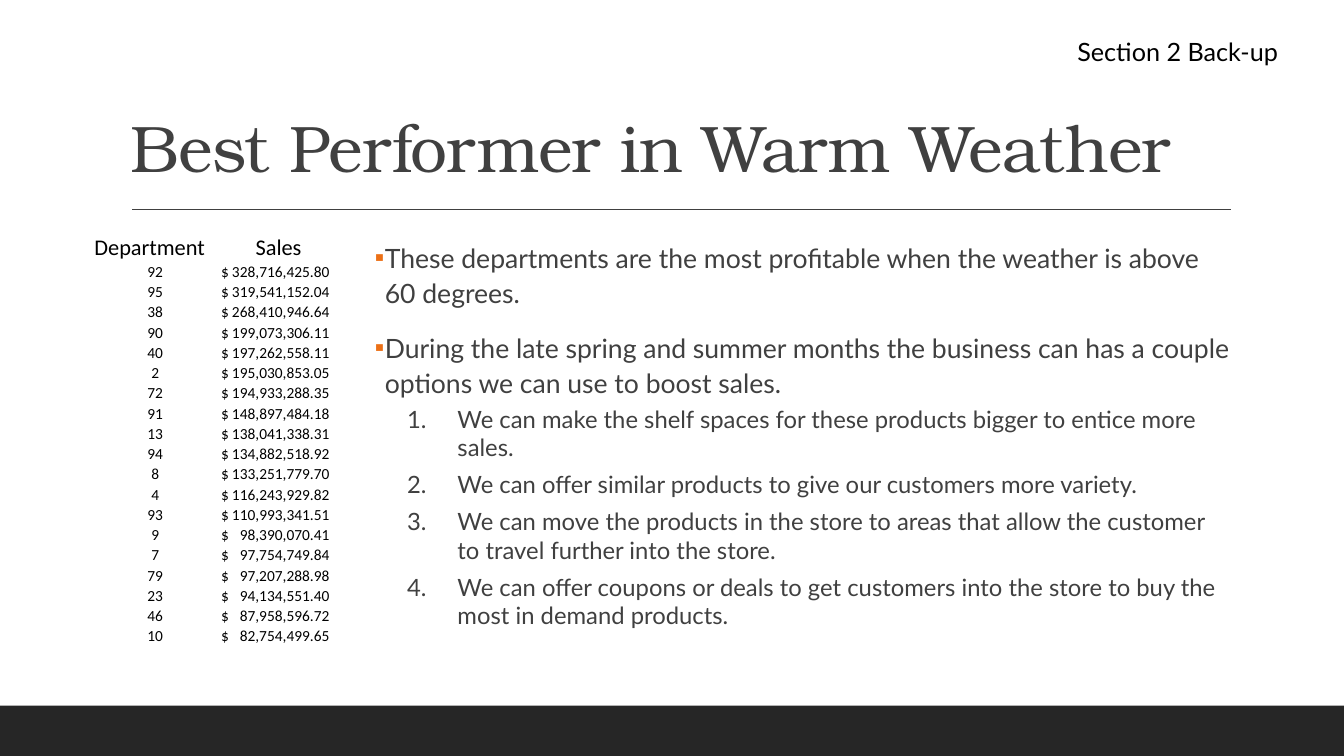
from dataclasses import dataclass

from lxml import etree
from pptx import Presentation
from pptx import util as u
from pptx.dml import color
from pptx.enum import shapes, text
from pptx.oxml import ns


@dataclass(frozen=True)
class Theme:
    ink: str = "404040"
    black: str = "000000"
    bar: str = "262626"
    accent: str = "EC7016"
    title_font: str = "TeX Gyre Bonum"
    body_font: str = "Lato"
    table_font: str = "Calibri"
    title_size: float = 47
    label_size: float = 18
    point_size: float = 19
    option_size: float = 17
    header_size: float = 16
    cell_size: float = 11


theme = Theme()


def add_xml(parent, tag, **attributes):
    return etree.SubElement(parent, ns.qn(tag), attributes)


def write(words, para, *, font, size, ink, align=text.PP_ALIGN.LEFT,
          line=1.0, before=0, after=0, spacing=None):
    para.alignment = align
    para.line_spacing = line
    para.space_before = u.Pt(before)
    para.space_after = u.Pt(after)
    span = para.add_run()
    span.text = words
    span.font.name = font
    span.font.size = u.Pt(size)
    span.font.bold = False
    span.font.color.rgb = color.RGBColor.from_string(ink)
    if spacing is not None:
        span.font._element.set("spc", str(spacing))


deck = Presentation()
deck.slide_width = u.Cm(33.87)
deck.slide_height = u.Cm(19.05)
page = deck.slides.add_slide(deck.slide_layouts[6])

bar = page.shapes.add_shape(
    shapes.MSO_SHAPE.RECTANGLE, 0, u.Cm(17.78), deck.slide_width, u.Cm(1.27))
bar.shadow.inherit = False
bar.fill.solid()
bar.fill.fore_color.rgb = color.RGBColor.from_string(theme.bar)
bar.line.fill.background()

rule = page.shapes.add_connector(
    shapes.MSO_CONNECTOR.STRAIGHT, u.Cm(3.33), u.Cm(5.28), u.Cm(31.01), u.Cm(5.28))
rule.line.color.rgb = color.RGBColor.from_string(theme.ink)
rule.line.width = u.Pt(1)
add_xml(rule._element.spPr, "a:effectLst")

title_box = page.shapes.add_textbox(u.Cm(3.05), u.Cm(0.79), u.Cm(27.94), u.Cm(4.04))
title_box.text_frame.word_wrap = True
title_box.text_frame.vertical_anchor = text.MSO_ANCHOR.BOTTOM
write("Best Performer in Warm Weather", title_box.text_frame.paragraphs[0],
      font=theme.title_font, size=theme.title_size, ink=theme.ink, line=0.9, spacing=-50)

sales = [
    ("92", "328,716,425.80"), ("95", "319,541,152.04"), ("38", "268,410,946.64"),
    ("90", "199,073,306.11"), ("40", "197,262,558.11"), ("2", "195,030,853.05"),
    ("72", "194,933,288.35"), ("91", "148,897,484.18"), ("13", "138,041,338.31"),
    ("94", "134,882,518.92"), ("8", "133,251,779.70"), ("4", "116,243,929.82"),
    ("93", "110,993,341.51"), ("9", "98,390,070.41"), ("7", "97,754,749.84"),
    ("79", "97,207,288.98"), ("23", "94,134,551.40"), ("46", "87,958,596.72"),
    ("10", "82,754,499.65"),
]
rows = [("Department", "Sales")] + [(number, f"$\t{amount}") for number, amount in sales]
row_height = u.Cm(0.51)
table = page.shapes.add_table(
    len(rows), 2, u.Cm(2.36), u.Cm(5.89), u.Cm(6.22), row_height * len(rows)).table
table.first_row = False
table.horz_banding = False
table.columns[0].width = u.Cm(3.1)
table.columns[1].width = u.Cm(3.12)

for row_index, row in enumerate(rows):
    table.rows[row_index].height = row_height
    for column_index, words in enumerate(row):
        is_header = row_index == 0
        is_amount = column_index == 1 and not is_header
        is_left = is_amount or words == "Department"
        cell = table.cell(row_index, column_index)
        cell.fill.background()
        cell.vertical_anchor = text.MSO_ANCHOR.BOTTOM
        cell.margin_left = u.Cm(0.11 if is_amount else 0.02)
        cell.margin_right = cell.margin_top = u.Cm(0.02)
        cell.margin_bottom = 0
        para = cell.text_frame.paragraphs[0]
        write(words, para, font=theme.table_font, ink=theme.black,
              size=theme.header_size if is_header else theme.cell_size,
              align=text.PP_ALIGN.LEFT if is_left else text.PP_ALIGN.CENTER)
        if is_amount:
            tabs = add_xml(para._p.get_or_add_pPr(), "a:tabLst")
            add_xml(tabs, "a:tab", pos=str(u.Cm(2.74)), algn="r")

points = [
    "These departments are the most profitable when the weather is above 60 degrees.",
    "During the late spring and summer months the business can has a couple options "
    "we can use to boost sales.",
]
options = [
    "We can make the shelf spaces for these products bigger to entice more sales.",
    "We can offer similar products to give our customers more variety.",
    "We can move the products in the store to areas that allow the customer "
    "to travel further into the store.",
    "We can offer coupons or deals to get customers into the store to buy "
    "the most in demand products.",
]
body_box = page.shapes.add_textbox(u.Cm(9.45), u.Cm(5.89), u.Cm(21.54), u.Cm(10.41))
body = body_box.text_frame
body.word_wrap = True
body.margin_left = body.margin_right = 0

for index, words in enumerate(points + options):
    para = body.paragraphs[0] if index == 0 else body.add_paragraph()
    properties = para._p.get_or_add_pPr()
    if index < len(points):
        write(words, para, font=theme.body_font, size=theme.point_size, ink=theme.ink,
              line=1.1, before=12, after=2)
        left, hanging = 0.25, 0.25
        bullet_color = add_xml(properties, "a:buClr")
        add_xml(bullet_color, "a:srgbClr", val=theme.accent)
        add_xml(properties, "a:buFont", typeface=theme.table_font)
        add_xml(properties, "a:buChar", char="▪")
    else:
        write(words, para, font=theme.body_font, size=theme.option_size, ink=theme.ink,
              before=2, after=4)
        para.level = 1
        left, hanging = 2.08, 1.27
        add_xml(properties, "a:buAutoNum", type="arabicPeriod")
    properties.set("marL", str(u.Cm(left)))
    properties.set("indent", str(-u.Cm(hanging)))

section_box = page.shapes.add_textbox(u.Cm(26.9), u.Cm(0.79), u.Cm(5.97), u.Cm(1.02))
section_box.text_frame.word_wrap = True
section_box.text_frame.auto_size = text.MSO_AUTO_SIZE.SHAPE_TO_FIT_TEXT
write("Section 2 Back-up", section_box.text_frame.paragraphs[0],
      font=theme.body_font, size=theme.label_size, ink=theme.black)

deck.save("out.pptx")
